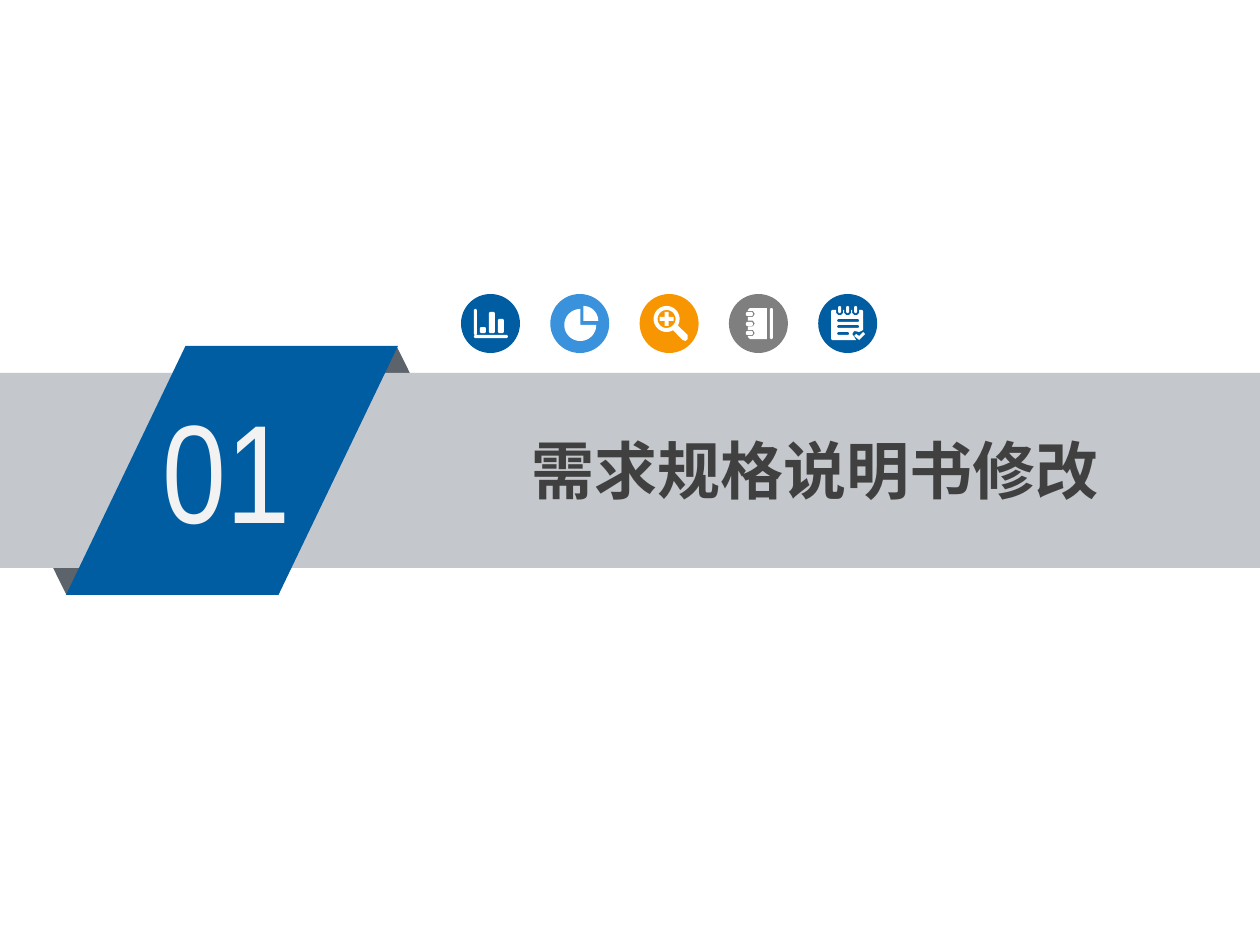
import math
import pptx
import pptx.util
import pptx.dml.color
import pptx.enum.shapes
import pptx.oxml.ns
import lxml.etree

KIND = pptx.enum.shapes.MSO_SHAPE
PX = 914400 / 126
THEME = {
    "blue": "005DA2", "sky": "3992DB", "orange": "F79600", "gray": "7F7F7F",
    "band": "C4C7CB", "fold": "5D636A", "white": "FFFFFF",
    "pale": "F2F2F2", "dark": "404040",
    "num": 80, "head": 36, "thin": "Arial Narrow", "sans": "Noto Sans CJK SC",
}
RIBBON = [
    (KIND.ISOSCELES_TRIANGLE, (340, 346, 113, 114), "fold", 0),
    (KIND.ISOSCELES_TRIANGLE, (10, 481, 113, 114), "fold", 180),
    (KIND.RECTANGLE, (0, 373, 1260, 195), "band", 0),
    (KIND.PARALLELOGRAM, (66, 346, 332, 249), "blue", 0),
]
NUMBER = ("01", (154, 379, 183, 179), "num", "thin", "pale", False, 9)
TITLE = ("需求规格说明书修改", (522, 427, 592, 86), "head", "sans", "dark", True, 10)
ICONS = [
    ("blue", [
        ("box", 13, 15, 3, 26), ("box", 13, 41, 34, 3),
        ("box", 19, 33, 6, 6), ("box", 28, 18, 6, 21), ("box", 37, 25, 6, 14)]),
    ("sky", [
        ("arc", 30, 31, 16, 0, 270, [(30, 31)]),
        ("arc", 33, 27, 15, 270, 360, [(33, 27)])]),
    ("orange", [
        ("arc", 27, 25, 13, 60, 390, [(48, 41), (48, 45), (46, 47), (43, 46)]),
        ("arc", 27, 25, 9, 0, 360, []),
        ("comb", [], 0, 0, [
            (20, 23), (25, 23), (25, 18), (29, 18), (29, 23), (34, 23),
            (34, 27), (29, 27), (29, 32), (25, 32), (25, 27), (20, 27)])]),
    ("gray", [
        ("comb", [(19, 42), (24, 42), (26, 39), (24, 36), (19, 36)], 0, -9.5, [
            (19, 16), (21, 14), (38, 14), (38, 45), (21, 45), (19, 43)]),
        ("box", 41, 14, 3, 31),
        ("box", 17, 18, 7, 4), ("box", 17, 28, 7, 4), ("box", 17, 37, 7, 4)]),
    ("blue", [
        ("comb", [(18, 16), (18, 19), (20, 21), (23, 21), (25, 19), (25, 16)], 8, 0, [
            (44, 16), (45, 17), (45, 36), (41, 38), (36, 37), (34, 40),
            (38, 46), (14, 46), (13, 45), (13, 17), (14, 16)]),
        ("box", 20, 12, 3, 7), ("box", 28, 12, 3, 7), ("box", 36, 12, 3, 7),
        ("box", 19, 25, 22, 3), ("box", 19, 31, 22, 3), ("box", 19, 38, 12, 3),
        ("comb", [], 0, 0, [
            (36, 42), (38, 40), (41, 42), (45, 38), (47, 40), (41, 46)])]),
]
ROW = {"left": 461, "top": 294, "size": 59, "step": 89.3}


def emu(val):
    return round(val * PX)


def tint(name):
    return pptx.dml.color.RGBColor.from_string(THEME[name])


def paint(shape, name):
    shape.shadow.inherit = False
    shape.fill.solid()
    shape.fill.fore_color.rgb = tint(name)
    shape.line.fill.background()


def draw(group, kind, area, name):
    shape = group.shapes.add_shape(kind, *map(emu, area))
    paint(shape, name)
    return shape


def write(shapes, text, area, size, font, name, bold, side):
    label = shapes.add_textbox(*map(emu, area))
    frame = label.text_frame
    frame.text = text
    frame.word_wrap = True
    frame.margin_left = frame.margin_right = emu(side)
    frame.margin_top = frame.margin_bottom = emu(5)
    run = frame.paragraphs[0].runs[0]
    run.font.size = pptx.util.Pt(THEME[size])
    run.font.name = THEME[font]
    run.font.bold = bold
    run.font.color.rgb = tint(name)
    east = lxml.etree.SubElement(run.font._element, pptx.oxml.ns.qn("a:ea"))
    east.set("typeface", THEME[font])


def box(x, y, w, h):
    r, b = x + w, y + h
    return [(x + 1, y), (r - 1, y), (r, y + 1), (r, b - 1),
            (r - 1, b), (x + 1, b), (x, b - 1), (x, y + 1)]


def arc(x, y, r, start, end, rest):
    turns = [math.radians(start + (end - start) * i / 36) for i in range(37)]
    return [(x + r * math.cos(t), y + r * math.sin(t)) for t in turns] + rest


def comb(tooth, dx, dy, rest):
    return [(x + i * dx, y + i * dy) for i in range(3) for x, y in tooth] + rest


FORMS = {"box": box, "arc": arc, "comb": comb}


def trace(group, parts, left, top):
    pen = None
    for form, *args in parts:
        first, *rest = [(emu(left + x), emu(top + y)) for x, y in FORMS[form](*args)]
        if pen is None:
            pen = group.shapes.build_freeform(*first, scale=1.0)
        else:
            pen.move_to(*first)
        pen.add_line_segments(rest, close=True)
    paint(pen.convert_to_shape(), "white")


def main():
    deck = pptx.Presentation()
    deck.slide_width, deck.slide_height = emu(1260), emu(945)
    shapes = deck.slides.add_slide(deck.slide_layouts[6]).shapes

    ribbon = shapes.add_group_shape()
    for kind, area, name, turn in RIBBON:
        shape = draw(ribbon, kind, area, name)
        shape.rotation = turn
        if kind == KIND.PARALLELOGRAM:
            shape.adjustments[0] = 0.48
    write(ribbon.shapes, *NUMBER)
    write(shapes, *TITLE)

    for i, (name, parts) in enumerate(ICONS):
        left = ROW["left"] + i * ROW["step"]
        icon = shapes.add_group_shape()
        draw(icon, KIND.OVAL, (left, ROW["top"], ROW["size"], ROW["size"]), name)
        trace(icon, parts, left, ROW["top"])
    deck.save("out.pptx")


if __name__ == "__main__":
    main()
